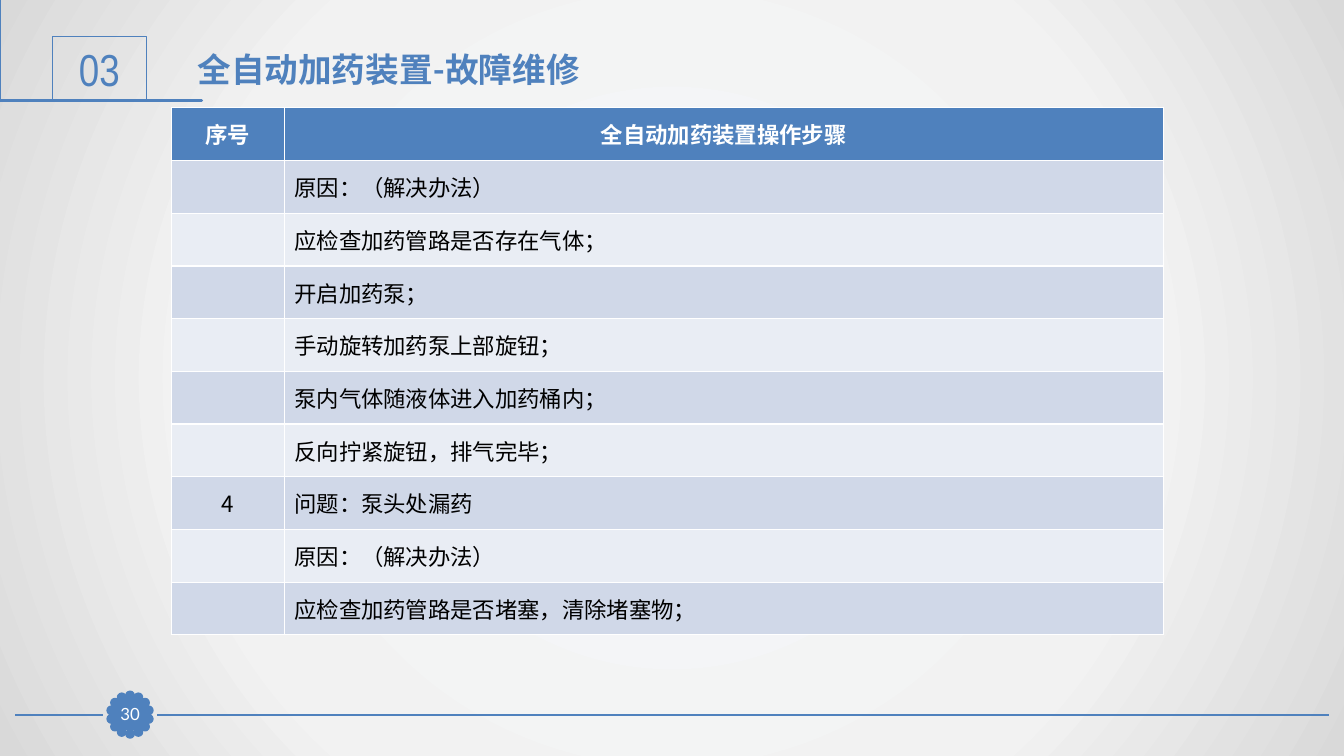
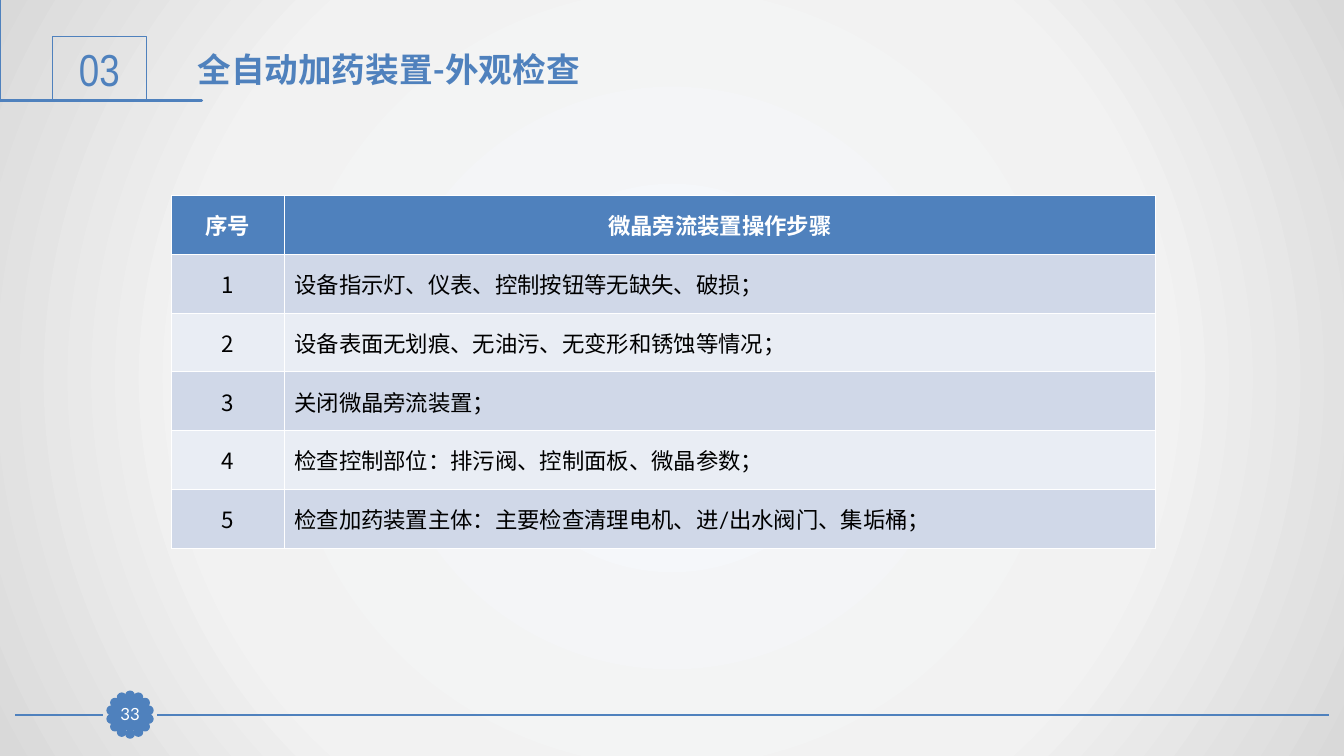
from math import cos, pi, sin

from lxml.etree import SubElement
from pptx import Presentation
from pptx.dml.color import RGBColor
from pptx.enum.shapes import MSO_CONNECTOR, MSO_SHAPE
from pptx.enum.text import MSO_ANCHOR, MSO_AUTO_SIZE, PP_ALIGN
from pptx.oxml.ns import qn
from pptx.util import Inches, Pt

LATIN, CJK, NARROW = "Lato", "Noto Sans CJK SC", "Arial Narrow"
COLORS = {
    "accent": "4F81BD",
    "bracket": "339933",
    "white": "FFFFFF",
    "black": "000000",
    "band_dark": "D0D8E8",
    "band_light": "E9EDF4",
}
BACKDROP = [(0, "F6F9FC"), (63, "F2F2F2"), (100, "D9D9D9")]

CHAPTER = "03"
PAGES = [
    {
        "number": "30",
        "title": "全自动加药装置-故障维修",
        "heading": "全自动加药装置操作步骤",
        "font": CJK,
        "box": (1.7, 1.07, 9.84, 5.23),
        "steps": [
            ("", "原因：（解决办法）"),
            ("", "应检查加药管路是否存在气体；"),
            ("", "开启加药泵；"),
            ("", "手动旋转加药泵上部旋钮；"),
            ("", "泵内气体随液体进入加药桶内；"),
            ("", "反向拧紧旋钮，排气完毕；"),
            ("4", "问题：泵头处漏药"),
            ("", "原因：（解决办法）"),
            ("", "应检查加药管路是否堵塞，清除堵塞物；"),
        ],
    },
    {
        "number": "33",
        "title": "全自动加药装置-外观检查",
        "heading": "微晶旁流装置操作步骤",
        "font": LATIN,
        "box": (1.7, 1.94, 9.76, 3.5),
        "steps": [
            ("1", "设备指示灯、仪表、控制按钮等无缺失、破损；"),
            ("2", "设备表面无划痕、无油污、无变形和锈蚀等情况；"),
            ("3", "关闭微晶旁流装置；"),
            ("4", "检查控制部位：排污阀、控制面板、微晶参数；"),
            ("5", "检查加药装置主体：主要检查清理电机、进/出水阀门、集垢桶；"),
        ],
    },
]

NUMBER_COLUMN = 1.12
FOOTER_Y = 7.09
FOOTER_LINES = [(13.18, 1.56), (1.02, 0.15)]
BADGE_CENTER, BADGE_RADIUS = (1.29, 7.09), 0.19
DOTS, DOT_SIZE = 14, 0.07
BRACKET = [
    (0.37, 0.46), (0.38, 0.46), (0.38, 0.92), (1.71, 0.92), (1.71, 0.94),
    (0.36, 0.94), (0.36, 0.48), (0.31, 0.48), (0.31, 0.94), (0.19, 0.94),
    (0.19, 0.46), (0.23, 0.46), (0.23, 0.91), (0.28, 0.91), (0.28, 0.46),
]


def rgb(name):
    return RGBColor.from_string(COLORS[name])


def paint(shape, fill, line_width):
    shape.shadow.inherit = False
    if fill:
        shape.fill.solid()
        shape.fill.fore_color.rgb = rgb(fill)
    else:
        shape.fill.background()
    shape.line.color.rgb = rgb("accent")
    shape.line.width = Pt(line_width)


def write(frame, text, size, font, color, bold=False, align=PP_ALIGN.LEFT):
    paragraph = frame.paragraphs[0]
    paragraph.text = text
    paragraph.alignment = align
    paragraph.font.size = Pt(size)
    paragraph.font.name = font
    paragraph.font.bold = bold
    paragraph.font.color.rgb = rgb(color)


def set_backdrop(layout):
    """Give the layout a gradient that spreads in circles from the centre."""
    layout.background.fill.gradient()
    gradient = next(layout.element.iter(qn("a:gradFill")))
    for part in list(gradient):
        gradient.remove(part)
    stops = SubElement(gradient, qn("a:gsLst"))
    for percent, color in BACKDROP:
        stop = SubElement(stops, qn("a:gs"), pos=str(percent * 1000))
        SubElement(stop, qn("a:srgbClr"), val=color)
    circle = SubElement(gradient, qn("a:path"), path="circle")
    SubElement(circle, qn("a:fillToRect"),
               {side: "50000" for side in "ltrb"})


def draw_frame(shapes):
    """Draw the footer line, the badge rim and the chapter mark."""
    for start, end in FOOTER_LINES:
        footer = shapes.add_connector(
            MSO_CONNECTOR.STRAIGHT, Inches(start), Inches(FOOTER_Y),
            Inches(end), Inches(FOOTER_Y))
        footer.line.color.rgb = rgb("accent")
        footer.line.width = Pt(1.25)
        SubElement(footer.element.spPr, qn("a:effectLst"))

    rim = shapes.add_group_shape()
    for index in range(DOTS):
        angle = 2 * pi * index / DOTS
        x = BADGE_CENTER[0] + BADGE_RADIUS * sin(angle) - DOT_SIZE / 2
        y = BADGE_CENTER[1] - BADGE_RADIUS * cos(angle) - DOT_SIZE / 2
        dot = rim.shapes.add_shape(MSO_SHAPE.OVAL, Inches(x), Inches(y),
                                   Inches(DOT_SIZE), Inches(DOT_SIZE))
        paint(dot, "accent", 2)

    outline = shapes.build_freeform(*BRACKET[0], scale=Inches(1))
    outline.add_line_segments(BRACKET[1:], close=True)
    paint(outline.convert_to_shape(), "bracket", 2)

    chapter = shapes.add_shape(MSO_SHAPE.RECTANGLE, Inches(0.52), Inches(0.36),
                               Inches(0.93), Inches(0.64))
    paint(chapter, None, 0.75)
    chapter.text_frame.vertical_anchor = MSO_ANCHOR.MIDDLE
    write(chapter.text_frame, CHAPTER, 32, NARROW, "accent",
          align=PP_ALIGN.CENTER)


def share_frame(layout, slide):
    """Draw the frame once and hand it to the layout of all pages."""
    for placeholder in list(layout.placeholders):
        layout.shapes.element.remove(placeholder.element)
    draw_frame(slide.shapes)
    for part in list(slide.shapes):
        layout.shapes.element.append(part.element)


def add_page_number(shapes, number):
    badge = shapes.add_shape(MSO_SHAPE.RECTANGLE, Inches(1.13), Inches(6.93),
                             Inches(0.32), Inches(0.31))
    paint(badge, "accent", 0.75)
    frame = badge.text_frame
    frame.margin_left = frame.margin_right = 0
    frame.margin_top = frame.margin_bottom = 0
    frame.vertical_anchor = MSO_ANCHOR.MIDDLE
    write(frame, number, 12, LATIN, "white", align=PP_ALIGN.CENTER)


def add_title(shapes, title):
    frame = shapes.add_textbox(Inches(1.86), Inches(0.44),
                               Inches(9.69), Inches(0.5)).text_frame
    frame.word_wrap = True
    frame.auto_size = MSO_AUTO_SIZE.SHAPE_TO_FIT_TEXT
    write(frame, title, 24, LATIN, "accent", bold=True)


def add_steps(shapes, page):
    rows = [("序号", page["heading"])] + page["steps"]
    left, top, width, height = map(Inches, page["box"])
    table = shapes.add_table(len(rows), 2, left, top, width, height).table
    table.columns[0].width = Inches(NUMBER_COLUMN)
    table.columns[1].width = width - Inches(NUMBER_COLUMN)
    for r, row in enumerate(rows):
        header = r == 0
        band = "band_dark" if r % 2 else "band_light"
        for c, text in enumerate(row):
            cell = table.cell(r, c)
            cell.fill.solid()
            cell.fill.fore_color.rgb = rgb("accent" if header else band)
            cell.vertical_anchor = MSO_ANCHOR.MIDDLE
            write(cell.text_frame, text, 16,
                  page["font"] if header or c else CJK,
                  "white" if header else "black", bold=header,
                  align=PP_ALIGN.CENTER if header or c == 0 else PP_ALIGN.LEFT)


def set_chinese_font(element):
    for latin in list(element.iter(qn("a:latin"))):
        chinese = SubElement(latin.getparent(), qn("a:ea"), typeface=CJK)
        latin.addnext(chinese)


def main():
    deck = Presentation()
    deck.slide_width, deck.slide_height = Inches(13.33), Inches(7.5)
    blank = deck.slide_layouts[6]
    set_backdrop(blank)
    for index, page in enumerate(PAGES):
        slide = deck.slides.add_slide(blank)
        if index == 0:
            share_frame(blank, slide)
        add_page_number(slide.shapes, page["number"])
        add_title(slide.shapes, page["title"])
        add_steps(slide.shapes, page)
        set_chinese_font(slide.element)
    deck.save("out.pptx")


if __name__ == "__main__":
    main()
